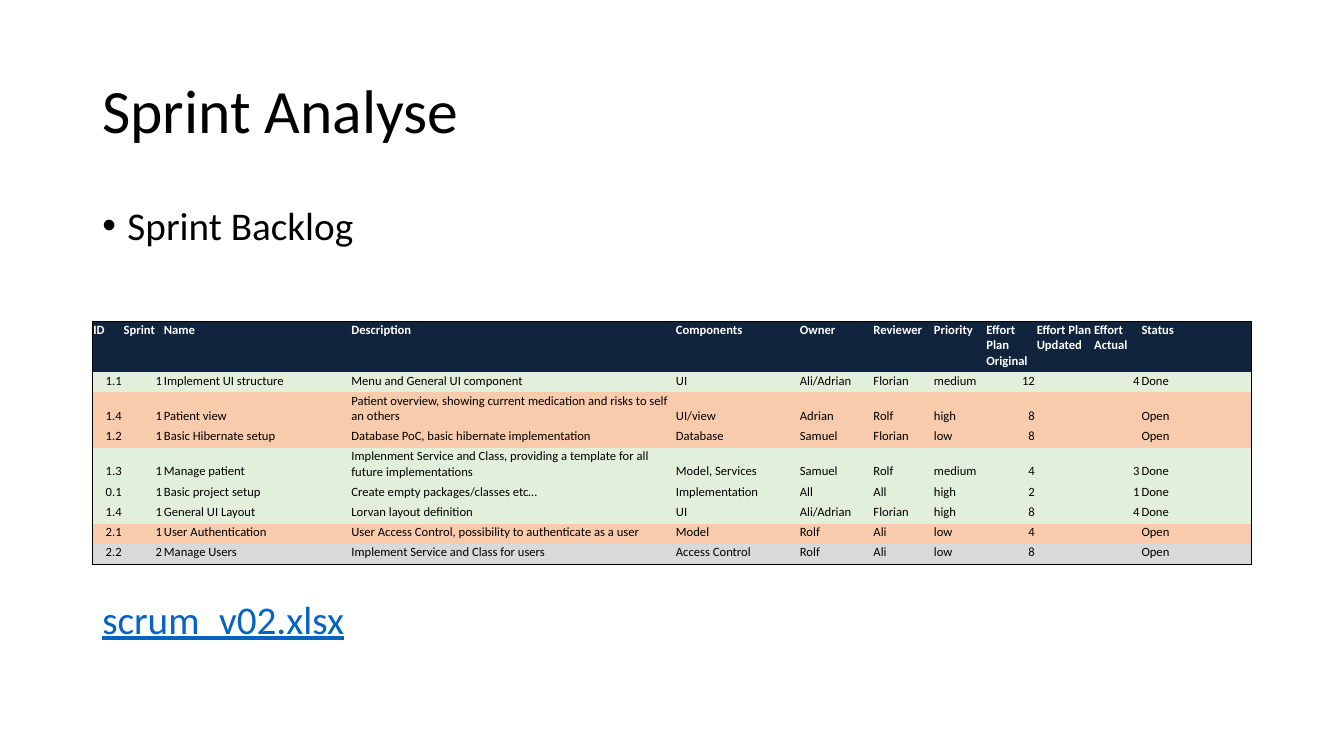
from dataclasses import dataclass

from lxml import etree
from pptx import Presentation
from pptx import util as u
from pptx.dml.color import RGBColor
from pptx.enum import text
from pptx.oxml import ns


@dataclass(frozen=True)
class Theme:
    font: str = "Calibri"
    bullet_font: str = "Arial"
    title_size: int = 44
    body_size: int = 28
    table_size: int = 9
    ink: str = "000000"
    link: str = "0563C1"
    header_ink: str = "FFFFFF"
    header: str = "10243E"
    done: str = "E2EFDA"
    open: str = "F8CBAD"
    later: str = "D9D9D9"


THEME = Theme()
GRID = u.Inches(1 / 12)  # the slide is 160 by 90 units
SLIDE = (160, 90)
TITLE_BOX = (11, 4.8, 138, 17.4)
BODY_BOX = (11, 24, 138, 57.1)
TABLE_BOX = (11, 38.3, 138, 28.8)

HEADER = ("ID", "Sprint", "Name", "Description", "Components", "Owner", "Reviewer",
          "Priority", "Effort Plan Original", "Effort Plan Updated", "Effort Actual",
          "Status")
TASKS = [
    ("1.1", "1", "Implement UI structure", "Menu and General UI component",
     "UI", "Ali/Adrian", "Florian", "medium", "12", "", "4", "Done"),
    ("1.4", "1", "Patient view",
     "Patient overview, showing current medication and risks to self an others",
     "UI/view", "Adrian", "Rolf", "high", "8", "", "", "Open"),
    ("1.2", "1", "Basic Hibernate setup", "Database PoC, basic hibernate implementation",
     "Database", "Samuel", "Florian", "low", "8", "", "", "Open"),
    ("1.3", "1", "Manage patient",
     "Implenment Service and Class, providing a template for all future implementations",
     "Model, Services", "Samuel", "Rolf", "medium", "4", "", "3", "Done"),
    ("0.1", "1", "Basic project setup", "Create empty packages/classes etc…",
     "Implementation", "All", "All", "high", "2", "", "1", "Done"),
    ("1.4", "1", "General UI Layout", "Lorvan layout definition",
     "UI", "Ali/Adrian", "Florian", "high", "8", "", "4", "Done"),
    ("2.1", "1", "User Authentication",
     "User Access Control, possibility to authenticate as a user",
     "Model", "Rolf", "Ali", "low", "4", "", "", "Open"),
    ("2.2", "2", "Manage Users", "Implement Service and Class for users",
     "Access Control", "Rolf", "Ali", "low", "8", "", "", "Open"),
]
COLUMN_SHARES = (30, 40, 186, 322, 123, 73, 60, 52, 50, 57, 47, 110)
ROW_SHARES = (50, 20, 35, 20, 35, 20, 20, 20, 20)
NUMBER_COLUMNS = {0, 1, 8, 9, 10}
NO_STYLE = "{2D5ABB26-0587-4C30-8999-92F81FD0307C}"


def to_emu(box):
    return [round(units * GRID) for units in box]


def style(paragraph, size, color, bold=False):
    font = paragraph.font
    font.name, font.size, font.bold = THEME.font, u.Pt(size), bold
    font.color.rgb = RGBColor.from_string(color)


def add_text(slide, box, lines, size, anchor):
    """Add a text box and return its paragraphs, one for each line."""
    frame = slide.shapes.add_textbox(*to_emu(box)).text_frame
    frame.word_wrap = True
    frame.vertical_anchor = anchor
    frame.text = "\n".join(lines)
    for paragraph in frame.paragraphs:
        style(paragraph, size, THEME.ink)
        paragraph.line_spacing = 0.9
    return frame.paragraphs


def add_title(slide, box):
    add_text(slide, box, ["Sprint Analyse"], THEME.title_size, text.MSO_ANCHOR.MIDDLE)


def add_body(slide, box):
    bullet, link = add_text(slide, box, ["Sprint Backlog", "scrum_v02.xlsx"],
                            THEME.body_size, text.MSO_ANCHOR.TOP)
    properties = bullet._p.get_or_add_pPr()
    properties.set("marL", str(u.Inches(0.25)))
    properties.set("indent", str(-u.Inches(0.25)))
    run_defaults = properties.find(ns.qn("a:defRPr"))
    run_defaults.addprevious(etree.Element(ns.qn("a:buFont"), typeface=THEME.bullet_font))
    run_defaults.addprevious(etree.Element(ns.qn("a:buChar"), char="•"))
    link.space_before = u.Pt(251)  # leaves room for the table
    link.font.color.rgb = RGBColor.from_string(THEME.link)
    link.font.underline = True


def add_border(cell, side):
    properties = cell._tc.get_or_add_tcPr()
    line = etree.SubElement(properties, ns.qn(f"a:ln{side}"), w=str(u.Pt(1)))
    fill = etree.SubElement(line, ns.qn("a:solidFill"))
    etree.SubElement(fill, ns.qn("a:srgbClr"), val=THEME.ink)


def row_fill(row, values):
    if row == 0:
        return THEME.header
    if values[1] == "2":
        return THEME.later
    return THEME.done if values[-1] == "Done" else THEME.open


def fill_cell(cell, value, is_header, is_number, fill):
    cell.margin_left = cell.margin_top = cell.margin_right = u.Inches(0.01)
    cell.margin_bottom = u.Inches(0.04)
    cell.vertical_anchor = text.MSO_ANCHOR.TOP if is_header else text.MSO_ANCHOR.BOTTOM
    cell.fill.solid()
    cell.fill.fore_color.rgb = RGBColor.from_string(fill)
    cell.text = value
    paragraph = cell.text_frame.paragraphs[0]
    style(paragraph, THEME.table_size, THEME.header_ink if is_header else THEME.ink,
          is_header)
    if is_number and not is_header:
        paragraph.alignment = text.PP_ALIGN.RIGHT
    if not value:  # an empty cell must not stretch its row
        etree.SubElement(paragraph._p, ns.qn("a:endParaRPr"),
                         sz=str(THEME.table_size * 100))


def add_backlog(slide, box):
    rows = [HEADER, *TASKS]
    left, top, width, height = to_emu(box)
    table = slide.shapes.add_table(len(rows), len(HEADER), left, top, width, height).table
    table._tbl.tblPr.find(ns.qn("a:tableStyleId")).text = NO_STYLE
    table.horz_banding = False
    for column, share in zip(table.columns, COLUMN_SHARES):
        column.width = round(width * share / sum(COLUMN_SHARES))
    for row, share in zip(table.rows, ROW_SHARES):
        row.height = round(height * share / sum(ROW_SHARES))

    last_row, last_column = len(rows) - 1, len(HEADER) - 1
    for r, values in enumerate(rows):
        for c, value in enumerate(values):
            cell = table.cell(r, c)
            edges = {"L": c == 0, "R": c == last_column, "T": r == 0, "B": r == last_row}
            for side, is_edge in edges.items():
                if is_edge:
                    add_border(cell, side)
            fill_cell(cell, value, r == 0, c in NUMBER_COLUMNS, row_fill(r, values))


def main():
    presentation = Presentation()
    presentation.slide_width, presentation.slide_height = to_emu(SLIDE)
    slide = presentation.slides.add_slide(presentation.slide_layouts[6])
    add_title(slide, TITLE_BOX)
    add_body(slide, BODY_BOX)
    add_backlog(slide, TABLE_BOX)
    presentation.save("out.pptx")


if __name__ == "__main__":
    main()
